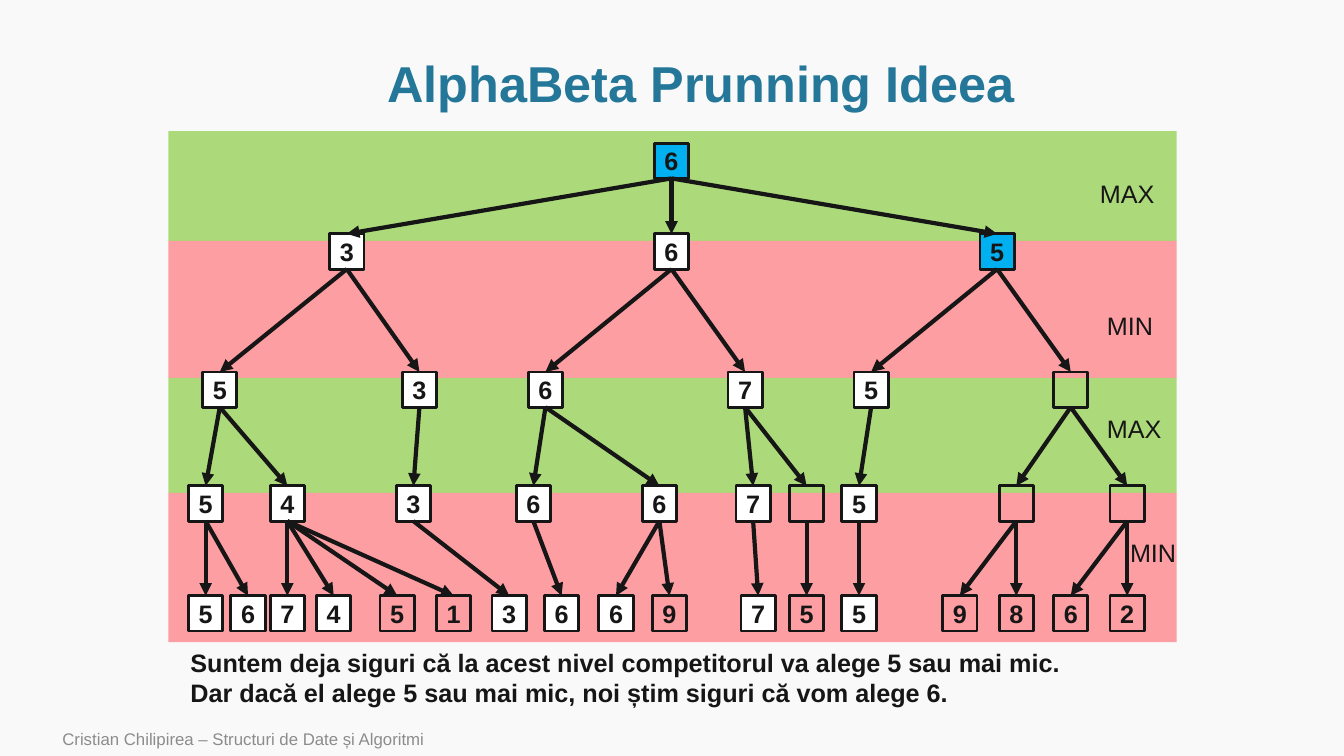
"""Builds the slide on the idea of alpha-beta pruning with its game tree."""
from typing import NamedTuple, Optional

from lxml import etree
from pptx import Presentation
from pptx.dml.color import RGBColor
from pptx.enum.shapes import MSO_CONNECTOR, MSO_SHAPE
from pptx.enum.text import MSO_ANCHOR, PP_ALIGN
from pptx.oxml.ns import qn
from pptx.util import Inches, Pt

RECTANGLE = MSO_SHAPE.RECTANGLE
STRAIGHT = MSO_CONNECTOR.STRAIGHT
TOP, MIDDLE = MSO_ANCHOR.TOP, MSO_ANCHOR.MIDDLE
LEFT, CENTER = PP_ALIGN.LEFT, PP_ALIGN.CENTER
TOP_SIDE, BOTTOM_SIDE = 0, 2

PAPER = RGBColor(0xF9, 0xF9, 0xF9)
INK = RGBColor(0x17, 0x16, 0x16)
TEAL = RGBColor(0x24, 0x77, 0x98)
GRAY = RGBColor(0x8C, 0x8C, 0x8C)
WHITE = RGBColor(0xFF, 0xFF, 0xFF)
BLUE = RGBColor(0x00, 0xB0, 0xF0)
GREEN = RGBColor(0x92, 0xD0, 0x50)
PINK = RGBColor(0xFF, 0x7F, 0x85)

NODE_WIDTH, NODE_HEIGHT = 0.34, 0.35
LEVEL_TOPS = (1.42, 2.32, 3.69, 4.82, 5.91)
BANDS = ((1.3, 1.09, GREEN), (2.39, 1.36, PINK), (3.75, 1.14, GREEN), (4.89, 1.48, PINK))
LABELS = (("MAX", 10.81, 1.72), ("MIN", 10.88, 3.03), ("MAX", 10.88, 4.05), ("MIN", 11.11, 5.28))


class Node(NamedTuple):
    """A position in the game tree; pruned ones have no fill."""
    left: float
    value: str
    children: tuple = ()
    fill: Optional[RGBColor] = WHITE


GAME_TREE = Node(6.49, "6", (
    Node(3.27, "3", (
        Node(2.01, "5", (
            Node(1.87, "5", (Node(1.87, "5"), Node(2.29, "6"))),
            Node(2.68, "4", (
                Node(2.68, "7"), Node(3.14, "4"),
                Node(3.77, "5", fill=None), Node(4.33, "1", fill=None))))),
        Node(3.99, "3", (Node(3.93, "3", (Node(4.88, "3"),)),)))),
    Node(6.49, "6", (
        Node(5.24, "6", (
            Node(5.12, "6", (Node(5.4, "6"),)),
            Node(6.37, "6", (Node(5.94, "6"), Node(6.47, "9", fill=None))))),
        Node(7.22, "7", (
            Node(7.3, "7", (Node(7.35, "7"),)),
            Node(7.83, "", (Node(7.83, "5", fill=None),), None))))),
    Node(9.72, "5", (
        Node(8.47, "5", (Node(8.35, "5", (Node(8.35, "5"),)),)),
        Node(10.45, "", (
            Node(9.91, "", (Node(9.35, "9", fill=None), Node(9.91, "8", fill=None)), None),
            Node(11.01, "", (Node(10.45, "6", fill=None), Node(11.01, "2", fill=None)), None),
        ), None)), BLUE)), BLUE)


class Slide:
    """Holds the style and the current slide."""

    def __init__(self, page, font="Arial"):
        self.page = page
        self.font = font
        page.background.fill.solid()
        page.background.fill.fore_color.rgb = PAPER

    def fill_text(self, box, lines, size=18, color=INK, bold=False, align=LEFT, anchor=TOP, wrap=True):
        """Fills a box with one paragraph per line and returns its frame."""
        frame = box.text_frame
        frame.word_wrap = wrap
        frame.vertical_anchor = anchor
        frame.text = "\n".join(lines)
        for para in frame.paragraphs:
            para.alignment = align
            para.font.name = self.font
            para.font.size = Pt(size)
            para.font.bold = bold
            para.font.color.rgb = color
        return frame

    def text(self, left, top, width, height, *lines, **style):
        """Adds a text box."""
        box = self.page.shapes.add_textbox(Inches(left), Inches(top), Inches(width), Inches(height))
        return self.fill_text(box, lines, **style)

    def rectangle(self, left, top, width, height, fill):
        """Adds a rectangle without shadow, filled or hollow."""
        box = self.page.shapes.add_shape(
            RECTANGLE, Inches(left), Inches(top), Inches(width), Inches(height))
        box.shadow.inherit = False
        if fill is None:
            box.fill.background()
        else:
            box.fill.solid()
            box.fill.fore_color.rgb = fill
        return box

    def band(self, top, height, color):
        """Adds a see-through band for one level of the game."""
        box = self.rectangle(1.67, top, 10, height, color)
        box.line.fill.background()
        tint = box.element.spPr.find(".//" + qn("a:srgbClr"))
        etree.SubElement(tint, qn("a:alpha"), val="74000")

    def arrow(self, parent, child):
        """Joins a parent node to its child."""
        connector = self.page.shapes.add_connector(STRAIGHT, 0, 0, 0, 0)
        connector.begin_connect(parent, BOTTOM_SIDE)
        connector.end_connect(child, TOP_SIDE)
        connector.line.color.rgb = INK
        connector.line.width = Pt(3)
        properties = connector.element.spPr
        etree.SubElement(properties.find(qn("a:ln")), qn("a:tailEnd"), type="triangle")
        etree.SubElement(properties, qn("a:effectLst"))

    def tree(self, node, level=0):
        """Draws a node with everything below it and returns its box."""
        box = self.rectangle(node.left, LEVEL_TOPS[level], NODE_WIDTH, NODE_HEIGHT, node.fill)
        box.line.color.rgb = INK
        box.line.width = Pt(2)
        if node.value:
            frame = self.fill_text(
                box, [node.value], bold=True, align=CENTER, anchor=MIDDLE, wrap=False)
            frame.margin_left = frame.margin_right = frame.margin_top = frame.margin_bottom = 0
        for child in node.children:
            self.arrow(box, self.tree(child, level + 1))
        return box


def main():
    """Builds and saves the deck."""
    deck = Presentation()
    deck.slide_width, deck.slide_height = Inches(13.33), Inches(7.5)
    slide = Slide(deck.slides.add_slide(deck.slide_layouts[6]))
    for band in BANDS:
        slide.band(*band)
    title = slide.text(1.14, 0.51, 11.63, 0.69, "AlphaBeta Prunning Ideea",
                       size=36, color=TEAL, bold=True, align=CENTER, anchor=MIDDLE)
    title.paragraphs[0].line_spacing = 0.9
    slide.tree(GAME_TREE)
    for label, left, top in LABELS:
        slide.text(left, top, 0.75 if label == "MAX" else 0.66, 0.4, label, wrap=False)
    slide.text(1.79, 6.37, 9.65, 0.71,
               "Suntem deja siguri că la acest nivel competitorul va alege 5 sau mai mic.",
               "Dar dacă el alege 5 sau mai mic, noi știm siguri că vom alege 6.", bold=True)
    slide.text(0.52, 7.16, 8.4, 0.34, "Cristian Chilipirea – Structuri de Date și Algoritmi",
               size=12, color=GRAY, anchor=MIDDLE)
    deck.save("out.pptx")


if __name__ == "__main__":
    main()
